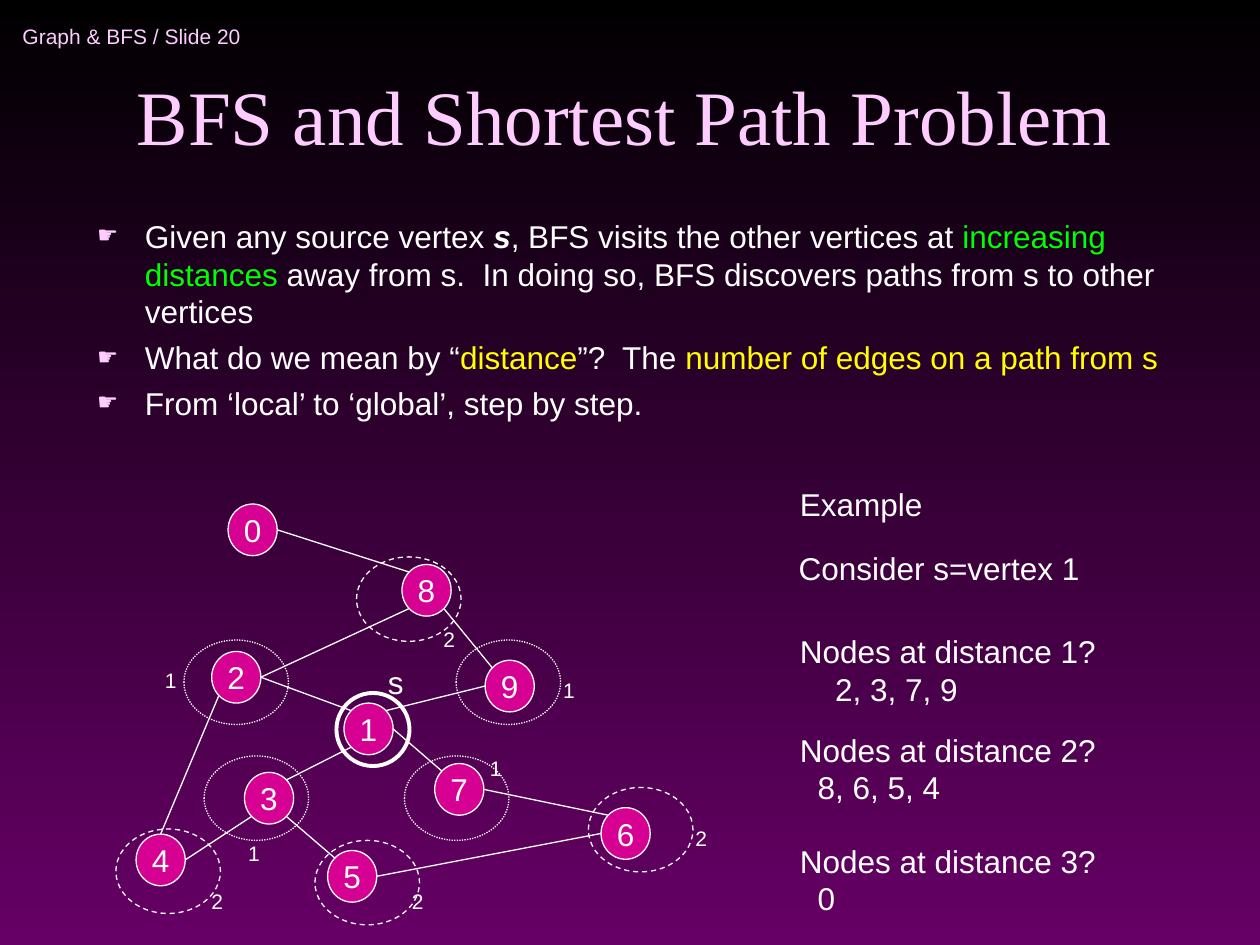
import math
from typing import NamedTuple

from lxml import etree
from pptx import Presentation
from pptx import util as u
from pptx.dml.color import RGBColor
from pptx.enum import dml, shapes, text
from pptx.oxml.ns import qn

COLORS = {
    "top": "000000",
    "bottom": "660066",
    "heading": "FFCCFF",
    "body": "FFFFFF",
    "node": "D60093",
    "green": "00FF00",
    "yellow": "FFFF00",
}
COLUMNS, ROWS = 100, 75
NODE_SIZE = (3.9, 4.1)
RING_SIZE = (8.3, 6.7)
COMPASS = {"E": 0, "SE": 45, "S": 90, "SW": 135, "W": 180, "NW": 225, "N": 270, "NE": 315}

deck = Presentation()
deck.slide_width, deck.slide_height = u.Inches(10), u.Inches(7.5)
slide = deck.slides.add_slide(deck.slide_layouts[1])


class Edge(NamedTuple):
    start: str
    leave: str
    end: str
    arrive: str


class Ring(NamedTuple):
    column: float
    row: float
    dash: dml.MSO_LINE


class Label(NamedTuple):
    column: float
    row: float
    columns: float
    rows: float
    lines: tuple
    size: float = 18
    indent: float = 0
    wrap: bool = False
    format: dict = {}


NODES = {
    "0": (18.1, 40), "1": (27.3, 55.8), "2": (16.8, 51.7), "3": (19.4, 61.3),
    "4": (10.8, 66.2), "5": (26, 67.5), "6": (47.7, 64.1), "7": (34.5, 60.6),
    "8": (31.9, 44.8), "9": (38.5, 52.4),
}
EDGES = [
    Edge("0", "E", "8", "NW"), Edge("8", "SE", "9", "NW"), Edge("9", "W", "1", "NE"),
    Edge("8", "SW", "2", "E"), Edge("2", "E", "1", "NW"), Edge("2", "SW", "4", "N"),
    Edge("4", "E", "3", "SW"), Edge("3", "NE", "1", "SW"), Edge("3", "SE", "5", "NW"),
    Edge("5", "E", "6", "W"), Edge("1", "E", "7", "NW"), Edge("7", "E", "6", "NW"),
]
NEAR, FAR = dml.MSO_LINE.ROUND_DOT, dml.MSO_LINE.DASH
RINGS = [
    Ring(14.6, 50.8, NEAR), Ring(16.2, 60, NEAR), Ring(32.1, 60, NEAR), Ring(36.2, 50.8, NEAR),
    Ring(28.3, 44.2, FAR), Ring(9.2, 65.8, FAR), Ring(25, 66.7, FAR), Ring(46.7, 62.5, FAR),
]
DISTANCES = {
    "1": [(43.7, 53.3), (37.9, 59.5), (12.1, 52.5), (18.7, 66.2)],
    "2": [(54.2, 65), (31.7, 70), (15.8, 70), (34.2, 49.2)],
}
LABELS = [
    Label(0.8, 0.8, 27.5, 4.2, ("Graph & BFS / Slide 20",), 12, wrap=True,
          format={"color": "heading", "anchor": text.MSO_ANCHOR.MIDDLE}),
    Label(29.8, 52.1, 3.2, 4, ("s",)),
    Label(62.5, 38, 11.7, 4, ("Example",)),
    Label(62.4, 43.1, 24.3, 4, ("Consider s=vertex 1",)),
    Label(62.5, 49.7, 25.5, 7, ("Nodes at distance 1?", "2, 3, 7, 9"), indent=2.8, wrap=True),
    Label(62.5, 57.5, 25.5, 7, ("Nodes at distance 2?", "8, 6, 5, 4"), indent=1.4),
    Label(62.5, 66.3, 25.5, 7, ("Nodes at distance 3?", "0"), indent=1.4),
]
BULLETS = [
    [("Given any source vertex ", {}), ("s", {"bold": True, "italic": True}),
     (", BFS visits the other vertices at ", {}), ("increasing distances", {"color": "green"}),
     (" away from s.  In doing so, BFS discovers paths from s to other vertices", {})],
    [("What do we mean by “", {}), ("distance", {"color": "yellow"}), ("”?  The ", {}),
     ("number of edges on a path from s", {"color": "yellow"})],
    [("From ‘local’ to ‘global’, step by step.", {})],
]


def x(columns: float) -> int:
    return round(deck.slide_width * columns / COLUMNS)


def y(rows: float) -> int:
    return round(deck.slide_height * rows / ROWS)


def rgb(name: str) -> RGBColor:
    return RGBColor.from_string(COLORS[name])


def apply(target, values: dict) -> None:
    for attribute, value in values.items():
        setattr(target, attribute, value)


def write(paragraph, words: str, size: float = 18, color: str = "body",
          name: str = "Arial", **style) -> None:
    run = paragraph.add_run()
    run.text = words
    apply(run.font, {"size": u.Pt(size), "name": name, **style})
    run.font.color.rgb = rgb(color)


def place(holder, column: float, row: float, columns: float, rows: float) -> None:
    apply(holder, {"left": x(column), "top": y(row), "width": x(columns), "height": y(rows)})


def draw_label(label: Label) -> None:
    box = slide.shapes.add_textbox(x(label.column), y(label.row), x(label.columns), y(label.rows))
    frame = box.text_frame
    apply(frame, {"word_wrap": label.wrap,
                  "vertical_anchor": label.format.get("anchor", text.MSO_ANCHOR.TOP)})
    for number, line in enumerate(label.lines):
        paragraph = frame.add_paragraph() if number else frame.paragraphs[0]
        if number:
            paragraph._p.get_or_add_pPr().set("marL", str(x(label.indent)))
        write(paragraph, line, label.size, label.format.get("color", "body"))


def draw_ellipse(column: float, row: float, size: tuple, weight: float = 0.75):
    ellipse = slide.shapes.add_shape(shapes.MSO_SHAPE.OVAL, x(column), y(row), x(size[0]), y(size[1]))
    ellipse.shadow.inherit = False
    ellipse.fill.background()
    ellipse.line.color.rgb = rgb("body")
    ellipse.line.width = u.Pt(weight)
    return ellipse


def draw_node(name: str) -> None:
    node = draw_ellipse(*NODES[name], NODE_SIZE)
    node.fill.solid()
    node.fill.fore_color.rgb = rgb("node")
    apply(node.text_frame, {"word_wrap": False, "vertical_anchor": text.MSO_ANCHOR.MIDDLE})
    paragraph = node.text_frame.paragraphs[0]
    paragraph.alignment = text.PP_ALIGN.CENTER
    write(paragraph, name)


def rim(name: str, direction: str) -> tuple[int, int]:
    angle = math.radians(COMPASS[direction])
    (column, row), (width, height) = NODES[name], NODE_SIZE
    return (x(column + width / 2 * (1 + math.cos(angle))),
            y(row + height / 2 * (1 + math.sin(angle))))


def draw_edge(edge: Edge) -> None:
    line = slide.shapes.add_connector(shapes.MSO_CONNECTOR.STRAIGHT,
                                      *rim(edge.start, edge.leave), *rim(edge.end, edge.arrive))
    line.line.color.rgb = rgb("body")
    line.line.width = u.Pt(0.75)
    etree.SubElement(line._element.spPr, qn("a:effectLst"))


def add_bullet(paragraph) -> None:
    properties = paragraph._p.get_or_add_pPr()
    apply_indent = {"marL": x(3.8), "indent": -x(3.8)}
    for key, value in apply_indent.items():
        properties.set(key, str(value))
    tint = etree.SubElement(properties, qn("a:buClr"))
    etree.SubElement(tint, qn("a:srgbClr"), val=COLORS["heading"])
    etree.SubElement(properties, qn("a:buSzPct"), val="75000")
    etree.SubElement(properties, qn("a:buChar"), char="☛")


backdrop = slide.background.fill
backdrop.gradient()
backdrop.gradient_angle = 270
for stop, shade in zip(backdrop.gradient_stops, ("top", "bottom")):
    stop.color.rgb = rgb(shade)

title = slide.shapes.title
place(title, 6.7, 2.5, 85.8, 10.8)
apply(title.text_frame, {"vertical_anchor": text.MSO_ANCHOR.BOTTOM, "auto_size": text.MSO_AUTO_SIZE.NONE})
title.text_frame.paragraphs[0].alignment = text.PP_ALIGN.CENTER
write(title.text_frame.paragraphs[0], "BFS and Shortest Path Problem", 44, "heading", "Times New Roman")

body = slide.placeholders[1]
place(body, 6.7, 16.7, 90, 54.2)
body.text_frame.auto_size = text.MSO_AUTO_SIZE.NONE
for number, pieces in enumerate(BULLETS):
    point = body.text_frame.add_paragraph() if number else body.text_frame.paragraphs[0]
    add_bullet(point)
    point.space_before = u.Pt(4.5 if number else 0)
    for words, style in pieces:
        write(point, words, **style)

for name in NODES:
    draw_node(name)
for edge in EDGES:
    draw_edge(edge)
for ring in RINGS:
    draw_ellipse(ring.column, ring.row, RING_SIZE).line.dash_style = ring.dash
draw_ellipse(26.7, 55, (5.8, 5.8), 2.25)
for distance, spots in DISTANCES.items():
    for column, row in spots:
        draw_label(Label(column, row, 2.9, 3, (distance,), 12))
for label in LABELS:
    draw_label(label)

deck.save("out.pptx")
